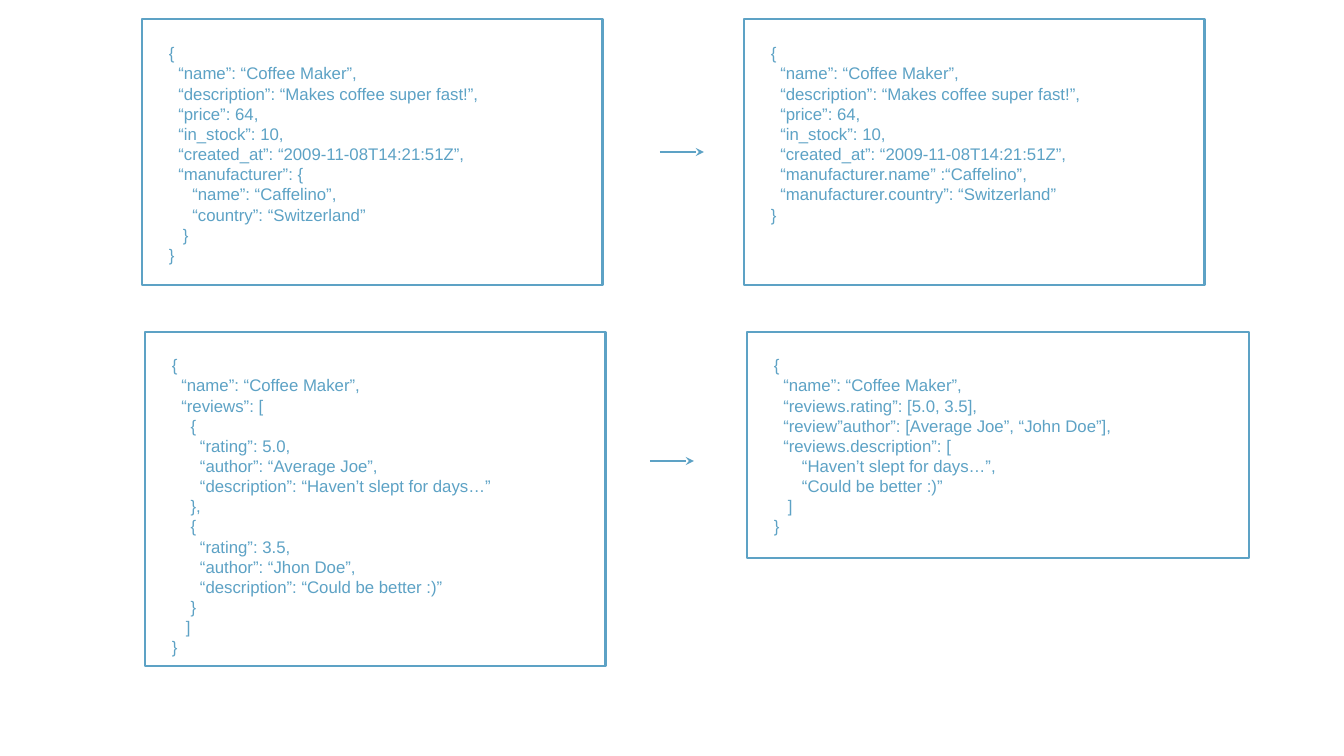
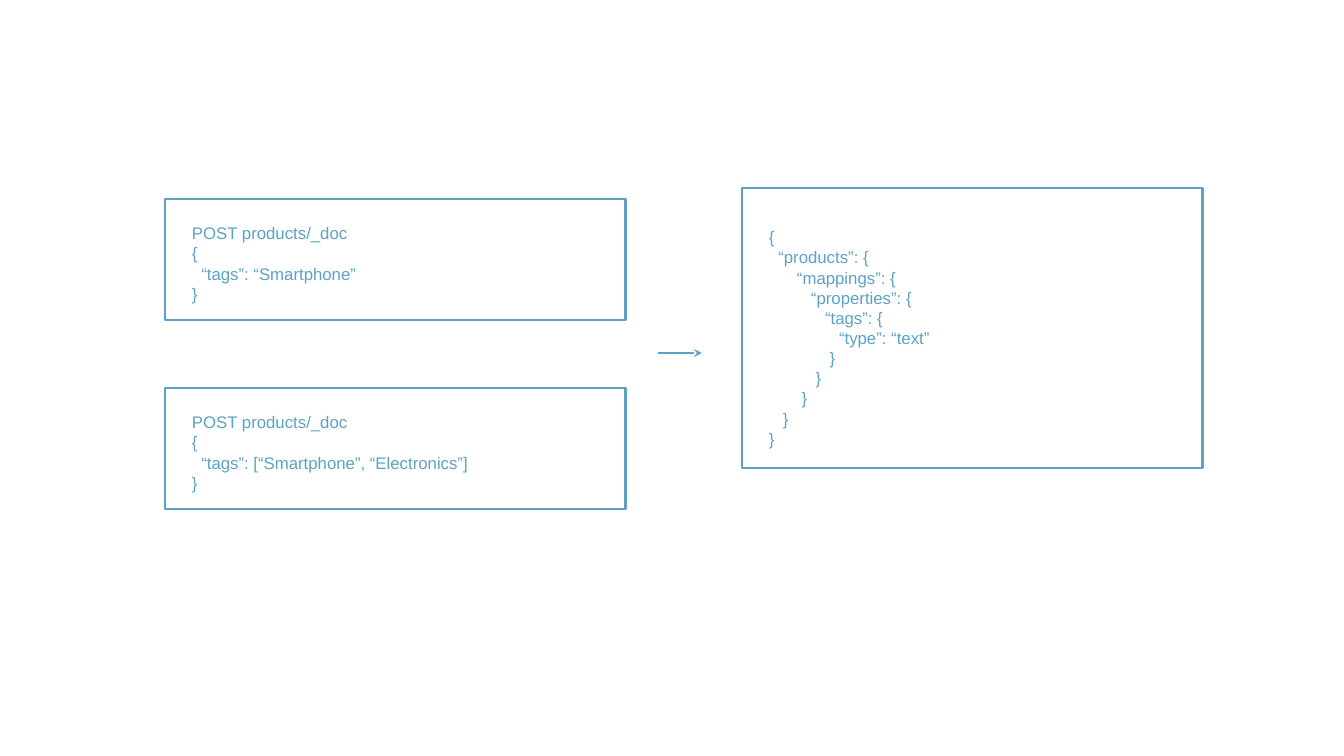
import pptx
import pptx.util
import pptx.dml.color
import pptx.enum.shapes
import pptx.enum.text
import pptx.oxml
import pptx.oxml.ns
import lxml.etree

PIXEL = 914400 / 100.8
BLUE = pptx.dml.color.RGBColor(0x5D, 0xA2, 0xC5)
FONT_SIZE = pptx.util.Pt(12)
SPACE_WIDTH = pptx.util.Pt(3.34)
LINE_WIDTH = pptx.util.Pt(2)
LINE_HEIGHT = 20.16
INSETS = 10

NESTED_OBJECT = """{
  “name”: “Coffee Maker”,
  “description”: “Makes coffee super fast!”,
  “price”: 64,
  “in_stock”: 10,
  “created_at”: “2009-11-08T14:21:51Z”,
  “manufacturer”: {
     “name”: “Caffelino”,
     “country”: “Switzerland”
   }
}"""

FLAT_OBJECT = """{
  “name”: “Coffee Maker”,
  “description”: “Makes coffee super fast!”,
  “price”: 64,
  “in_stock”: 10,
  “created_at”: “2009-11-08T14:21:51Z”,
  “manufacturer.name” :“Caffelino”,
  “manufacturer.country”: “Switzerland”
}"""

NESTED_REVIEWS = """{
  “name”: “Coffee Maker”,
  “reviews”: [
    {
      “rating”: 5.0,
      “author”: “Average Joe”,
      “description”: “Haven’t slept for days…”
    },
    {
      “rating”: 3.5,
      “author”: “Jhon Doe”,
      “description”: “Could be better :)”
    }
   ]
}"""

FLAT_REVIEWS = """{
  “name”: “Coffee Maker”,
  “reviews.rating”: [5.0, 3.5],
  “review”author”: [Average Joe”, “John Doe”],
  “reviews.description”: [
      “Haven’t slept for days…”,
      “Could be better :)”
   ]
}"""

SINGLE_TAG = """POST products/_doc
{
  “tags”: “Smartphone”
}"""

TAG_ARRAY = """POST products/_doc
{
  “tags”: [“Smartphone”, “Electronics”]
}"""

MAPPING = """{
  “products”: {
      “mappings”: {
         “properties”: {
            “tags”: {
               “type”: “text”
             }
          }
       }
   }
}"""

# box: left, top, width, height, text offset from top, text width, code
SLIDES = [
    {
        "boxes": [
            (142, 19, 461, 266, 19, 431, NESTED_OBJECT),
            (744, 19, 461, 266, 19, 431, FLAT_OBJECT),
            (145, 332, 461, 334, 18, 431, NESTED_REVIEWS),
            (747, 332, 502, 226, 18, 484, FLAT_REVIEWS),
        ],
        "arrows": [(660, 152), (650, 461)],
    },
    {
        "boxes": [
            (165, 199, 461, 121, 19, 431, SINGLE_TAG),
            (165, 388, 461, 121, 19, 431, TAG_ARRAY),
            (742, 188, 461, 280, 34, 431, MAPPING),
        ],
        "arrows": [(658, 353)],
    },
]
TEXT_LEFT = 17
ARROW_LENGTH = 44


def pixels(*values):
    return [pptx.util.Emu(round(value * PIXEL)) for value in values]


def add_code_box(slide, left, top, width, height, text_top, text_width, code):
    group = slide.shapes.add_group_shape()
    frame = group.shapes.add_shape(
        pptx.enum.shapes.MSO_SHAPE.RECTANGLE, *pixels(left, top, width, height)
    )
    frame.shadow.inherit = False
    frame.fill.background()
    frame.line.color.rgb = BLUE
    frame.line.width = LINE_WIDTH

    lines = code.splitlines()
    text_height = len(lines) * LINE_HEIGHT + INSETS
    text_box = group.shapes.add_textbox(
        *pixels(left + TEXT_LEFT, top + text_top, text_width, text_height)
    )
    text_frame = text_box.text_frame
    text_frame.word_wrap = True
    text_frame.auto_size = pptx.enum.text.MSO_AUTO_SIZE.SHAPE_TO_FIT_TEXT
    text_frame.text = "\n".join(line.lstrip() for line in lines)
    for line, paragraph in zip(lines, text_frame.paragraphs):
        paragraph.font.name = "Arial"
        paragraph.font.size = FONT_SIZE
        paragraph.font.color.rgb = BLUE
        indent = (len(line) - len(line.lstrip())) * SPACE_WIDTH
        paragraph._p.get_or_add_pPr().set("marL", str(indent))


presentation = pptx.Presentation()
presentation.slide_width, presentation.slide_height = pixels(1344, 756)

for content in SLIDES:
    slide = presentation.slides.add_slide(presentation.slide_layouts[6])
    for box in content["boxes"]:
        add_code_box(slide, *box)
    for left, middle in content["arrows"]:
        arrow = slide.shapes.add_connector(
            pptx.enum.shapes.MSO_CONNECTOR.STRAIGHT,
            *pixels(left, middle, left + ARROW_LENGTH, middle),
        )
        arrow.line.color.rgb = BLUE
        arrow.line.width = LINE_WIDTH
        tail = lxml.etree.SubElement(
            arrow.line._get_or_add_ln(), pptx.oxml.ns.qn("a:tailEnd")
        )
        tail.set("type", "stealth")
        lxml.etree.SubElement(
            arrow._element.spPr, pptx.oxml.ns.qn("a:effectLst")
        )

presentation.save("out.pptx")
